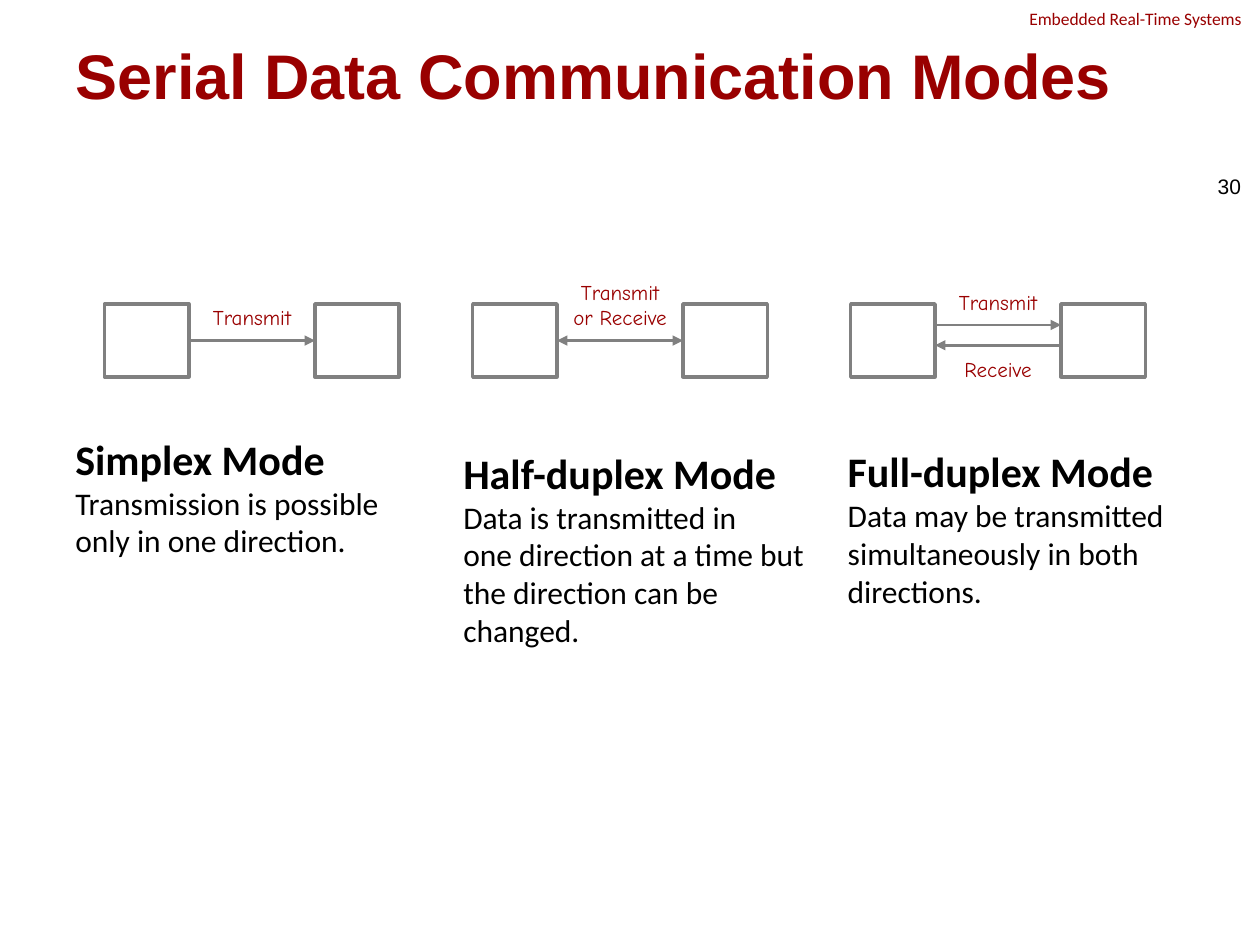
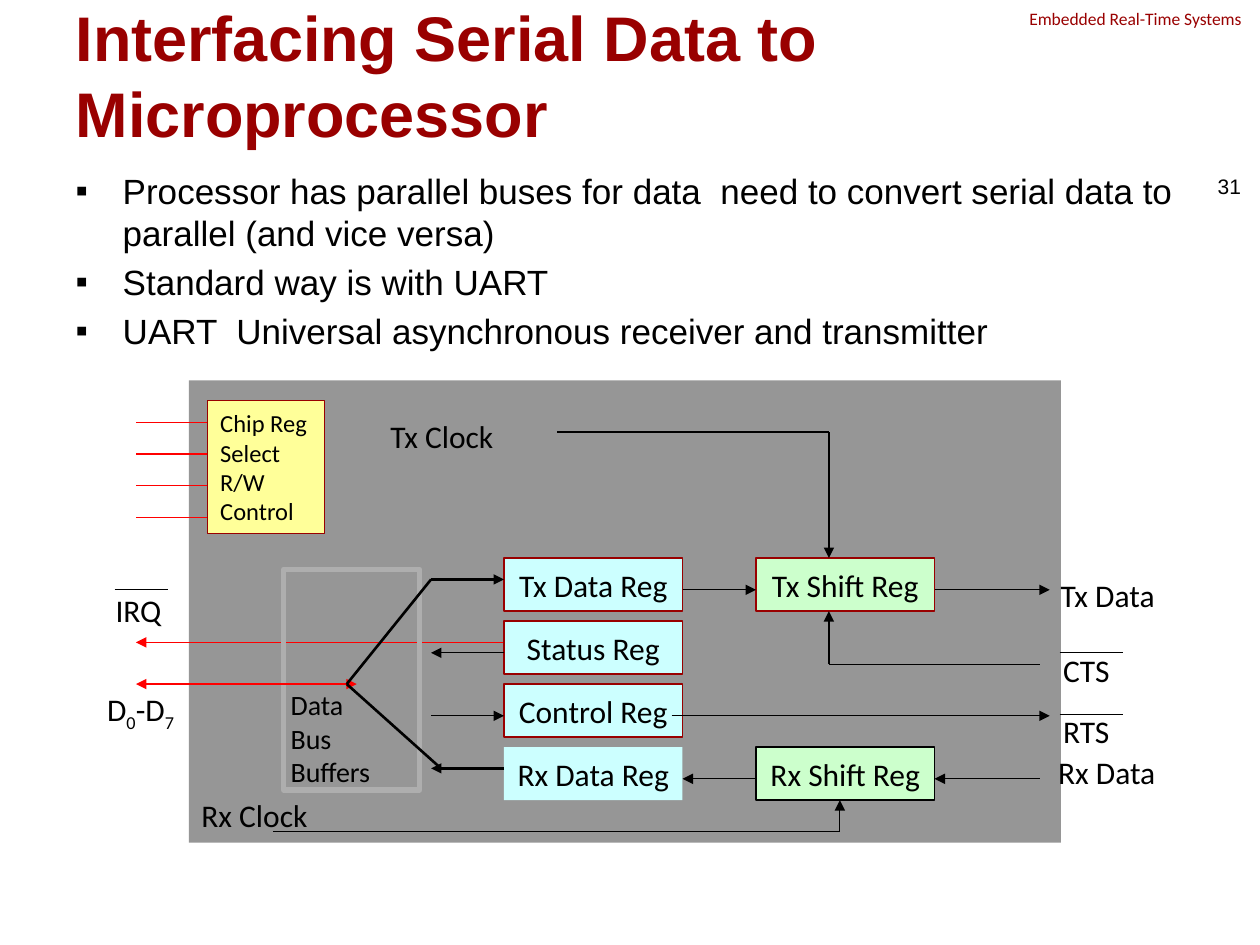
import pptx
import pptx.dml.color
import pptx.enum.shapes
import pptx.enum.text
import pptx.oxml.ns
import pptx.util
import lxml.etree

Cm = pptx.util.Cm
Pt = pptx.util.Pt
RGBColor = pptx.dml.color.RGBColor
ALIGN = pptx.enum.text.PP_ALIGN
ANCHOR = pptx.enum.text.MSO_ANCHOR
FIT = pptx.enum.text.MSO_AUTO_SIZE

MAROON = RGBColor(0x99, 0x00, 0x00)
BLACK = RGBColor(0x00, 0x00, 0x00)
RED = RGBColor(0xFF, 0x00, 0x00)
GRAY = RGBColor(0x80, 0x80, 0x80)
PANEL_GRAY = RGBColor(0x96, 0x96, 0x96)
BUFFER_GRAY = RGBColor(0xAE, 0xAE, 0xAE)
YELLOW = RGBColor(0xFF, 0xFF, 0x99)
CYAN = RGBColor(0xCC, 0xFF, 0xFF)
GREEN = RGBColor(0xCC, 0xFF, 0xCC)

HEADING_FONT = "Arial"
TEXT_FONT = "Calibri"
SKETCH_FONT = "Comic Neue"


def add_xml(parent, tag, **attributes):
    return lxml.etree.SubElement(parent, pptx.oxml.ns.qn(tag), attributes)


class Deck:
    def __init__(self):
        self.presentation = pptx.Presentation()
        self.presentation.slide_width = Cm(25.4)
        self.presentation.slide_height = Cm(19.05)
        self.slide = None

    def new_slide(self, layout_index, title, number):
        layout = self.presentation.slide_layouts[layout_index]
        self.slide = self.presentation.slides.add_slide(layout)
        self.text("Embedded Real-Time Systems", 20.5, 0.03, 5.77, 0.69,
                  size=10, color=MAROON, wrap=True)
        shape = self.slide.shapes.title
        self.place(shape, 1.27, 0.76, 22.86, 1.47)
        self.fill_text(shape.text_frame, title, 36, MAROON, HEADING_FONT, bold=True)
        shape.text_frame.vertical_anchor = ANCHOR.MIDDLE
        page = self.text(number, 23.34, 3.25, 1.93, 1.02, size=12,
                         font=HEADING_FONT, align=ALIGN.RIGHT, wrap=True)
        page.text_frame.auto_size = FIT.NONE
        page.text_frame.vertical_anchor = ANCHOR.MIDDLE

    def place(self, shape, left, top, width, height):
        shape.left, shape.top = Cm(left), Cm(top)
        shape.width, shape.height = Cm(width), Cm(height)

    def fill_text(self, frame, text, size, color=BLACK, font=TEXT_FONT,
                  align=ALIGN.LEFT, bold=False, wrap=True):
        frame.text = text
        frame.word_wrap = wrap
        frame.auto_size = FIT.NONE
        for paragraph in frame.paragraphs:
            paragraph.alignment = align
            for run in paragraph.runs:
                run.font.size = Pt(size)
                run.font.name = font
                run.font.bold = bold
                run.font.color.rgb = color

    def text(self, text, left, top, width, height=1.02, size=18, wrap=False, **style):
        shape = self.slide.shapes.add_textbox(Cm(left), Cm(top), Cm(width), Cm(height))
        self.fill_text(shape.text_frame, text, size, wrap=wrap, **style)
        shape.text_frame.auto_size = FIT.SHAPE_TO_FIT_TEXT
        return shape

    def bullets(self, items, left, top, width, height):
        shape = self.slide.placeholders[1]
        self.place(shape, left, top, width, height)
        self.fill_text(shape.text_frame, "\n".join(items), 20, font=HEADING_FONT)
        for paragraph in shape.text_frame.paragraphs:
            paragraph.space_before = Pt(4)
            properties = paragraph._p.get_or_add_pPr()
            properties.set("marL", str(Cm(0.95)))
            properties.set("indent", str(-Cm(0.95)))
            add_xml(properties, "a:buFont", typeface=HEADING_FONT)
            add_xml(properties, "a:buChar", char="▪")

    def box(self, left, top, width, height, fill=None, line=None, weight=0.75,
            text="", size=18, align=ALIGN.CENTER):
        shape = self.slide.shapes.add_shape(
            pptx.enum.shapes.MSO_SHAPE.RECTANGLE,
            Cm(left), Cm(top), Cm(width), Cm(height))
        shape.shadow.inherit = False
        if fill is None:
            shape.fill.background()
        else:
            shape.fill.solid()
            shape.fill.fore_color.rgb = fill
        if line is None:
            shape.line.fill.background()
        else:
            shape.line.color.rgb = line
            shape.line.width = Pt(weight)
        if text:
            self.fill_text(shape.text_frame, text, size, align=align, wrap=False)
            shape.text_frame.vertical_anchor = ANCHOR.MIDDLE
        return shape

    def line(self, start, end, color=BLACK, weight=0.75, head=False, tail=False):
        connector = self.slide.shapes.add_connector(
            pptx.enum.shapes.MSO_CONNECTOR.STRAIGHT,
            Cm(start[0]), Cm(start[1]), Cm(end[0]), Cm(end[1]))
        connector.line.color.rgb = color
        connector.line.width = Pt(weight)
        outline = connector.line._get_or_add_ln()
        if head:
            add_xml(outline, "a:headEnd", type="triangle")
        if tail:
            add_xml(outline, "a:tailEnd", type="triangle")
        add_xml(connector._element.spPr, "a:effectLst")
        return connector

    def route(self, *points, weight=0.75):
        for start, end in zip(points, points[1:]):
            self.line(start, end, weight=weight, tail=end == points[-1])

    def mode_label(self, text, diagram_left, top, height=0.76):
        self.text(text, diagram_left + 1.67, top, 2.6, height, size=12,
                  color=MAROON, font=SKETCH_FONT, align=ALIGN.CENTER)

    def station_pair(self, left):
        return [self.box(left + offset, 6.13, 1.7, 1.47, line=GRAY, weight=2)
                for offset in (0, 4.24)]

    def station_link(self, stations, head=False):
        sender, receiver = stations
        link = self.line((0, 0), (1, 1), GRAY, 1.5, head=head, tail=True)
        link.begin_connect(sender, 3)
        link.end_connect(receiver, 1)

    def mode_description(self, heading, body, left, top, height):
        shape = self.text(f"{heading}\n{body}", left, top, 7.72, height, wrap=True)
        font = shape.text_frame.paragraphs[0].runs[0].font
        font.size = Pt(24)
        font.bold = True


def build_modes(deck):
    deck.new_slide(5, "Serial Data Communication Modes", "30")
    simplex, half_duplex, full_duplex = 2.11, 9.53, 17.15

    deck.station_link(deck.station_pair(simplex))
    deck.mode_label("Transmit", simplex, 6.02)

    deck.station_link(deck.station_pair(half_duplex), head=True)
    deck.mode_label("Transmit\vor Receive", half_duplex, 5.51, 1.27)

    deck.station_pair(full_duplex)
    near, far = full_duplex + 1.7, full_duplex + 4.24
    deck.line((near, 6.55), (far, 6.55), GRAY, 1.5, tail=True)
    deck.line((far, 6.96), (near, 6.96), GRAY, 1.5, tail=True)
    deck.mode_label("Transmit", full_duplex, 5.72)
    deck.mode_label("Receive", full_duplex, 7.06)

    deck.mode_description("Simplex Mode",
                          "Transmission is possible\vonly in one direction.",
                          1.27, 8.61, 2.82)
    deck.mode_description("Half-duplex Mode",
                          "Data is transmitted in\vone direction at a time but "
                          "the direction can be changed.",
                          9.09, 8.89, 4.47)
    deck.mode_description("Full-duplex Mode",
                          "Data may be transmitted simultaneously in both directions.",
                          16.84, 8.86, 3.71)


def build_uart(deck):
    deck.new_slide(1, "Interfacing Serial Data to Microprocessor", "31")
    deck.bullets([
        "Processor has parallel buses for data  need to convert serial data "
        "to parallel (and vice versa)",
        "Standard way is with UART",
        "UART  Universal asynchronous receiver and transmitter",
    ], 1.27, 3.28, 23.34, 14.66)

    deck.box(3.81, 7.67, 17.58, 9.32, fill=PANEL_GRAY)
    deck.line((10.16, 12.95), (2.74, 12.95), RED, tail=True)
    for row in range(4):
        y = 8.51 + 0.64 * row
        deck.line((4.24, y), (2.74, y), RED)
    deck.box(4.19, 8.08, 2.36, 2.67, YELLOW, MAROON,
             text="Chip Reg\nSelect\nR/W\nControl", size=14, align=ALIGN.LEFT)
    deck.box(5.72, 11.48, 2.74, 4.45, line=BUFFER_GRAY, weight=3)

    registers = [
        ("Tx Data Reg", 10.16, 0, CYAN, MAROON),
        ("Status Reg", 10.16, 1, CYAN, MAROON),
        ("Control Reg", 10.16, 2, CYAN, MAROON),
        ("Rx Data Reg", 10.16, 3, CYAN, None),
        ("Tx Shift Reg", 15.24, 0, GREEN, MAROON),
        ("Rx Shift Reg", 15.24, 3, GREEN, BLACK),
    ]
    for name, left, row, fill, line in registers:
        deck.box(left, 11.25 + 1.27 * row, 3.6, 1.07, fill, line, text=name)

    deck.line((2.74, 13.79), (7.19, 13.79), RED, 1.5, head=True, tail=True)
    deck.route((6.99, 13.79), (8.69, 11.68), (10.16, 11.68), weight=1.5)
    deck.line((6.99, 13.79), (8.89, 15.49), weight=1.5)
    deck.route((10.16, 15.49), (8.69, 15.49), weight=1.5)

    deck.route((11.23, 8.71), (16.71, 8.71), (16.71, 11.25))
    deck.route((20.96, 13.39), (16.71, 13.39), (16.71, 12.32))
    deck.route((5.51, 16.76), (16.93, 16.76), (16.93, 16.13))
    for start, end, y in [
        (8.69, 10.16, 14.43), (10.16, 8.69, 13.16), (20.96, 18.84, 15.7),
        (15.24, 13.76, 15.7), (13.54, 21.16, 14.43), (13.76, 15.24, 11.89),
        (18.84, 21.16, 11.89),
    ]:
        deck.route((start, y), (end, y))

    for label, left, top, width in [
        ("Tx Clock", 7.62, 8.28, 2.64), ("Rx Clock", 3.81, 15.93, 2.67),
        ("IRQ", 2.08, 11.79, 1.45), ("CTS", 21.18, 13, 1.47),
        ("RTS", 21.18, 14.22, 1.47), ("Rx Data", 21.08, 15.06, 2.51),
        ("Tx Data", 21.13, 11.48, 2.46),
    ]:
        deck.text(label, left, top, width)
    deck.text("Data\nBus\nBuffers", 5.61, 13.74, 2.21, 2.29, size=16)

    data_lines = deck.text("D", 1.91, 13.79, 1.93)
    paragraph = data_lines.text_frame.paragraphs[0]
    for part in ("0", "-D", "7"):
        run = paragraph.add_run()
        run.text = part
        run.font.size = Pt(18)
        run.font.name = TEXT_FONT
        run.font.color.rgb = BLACK
        if part.isdigit():
            run._r.get_or_add_rPr().set("baseline", "-25000")

    for left, right, y in [(2.31, 3.38, 11.89), (21.36, 22.63, 13.16),
                           (21.36, 22.63, 14.4)]:
        deck.line((left, y), (right, y))


def main():
    deck = Deck()
    build_modes(deck)
    build_uart(deck)
    deck.presentation.save("out.pptx")


if __name__ == "__main__":
    main()
